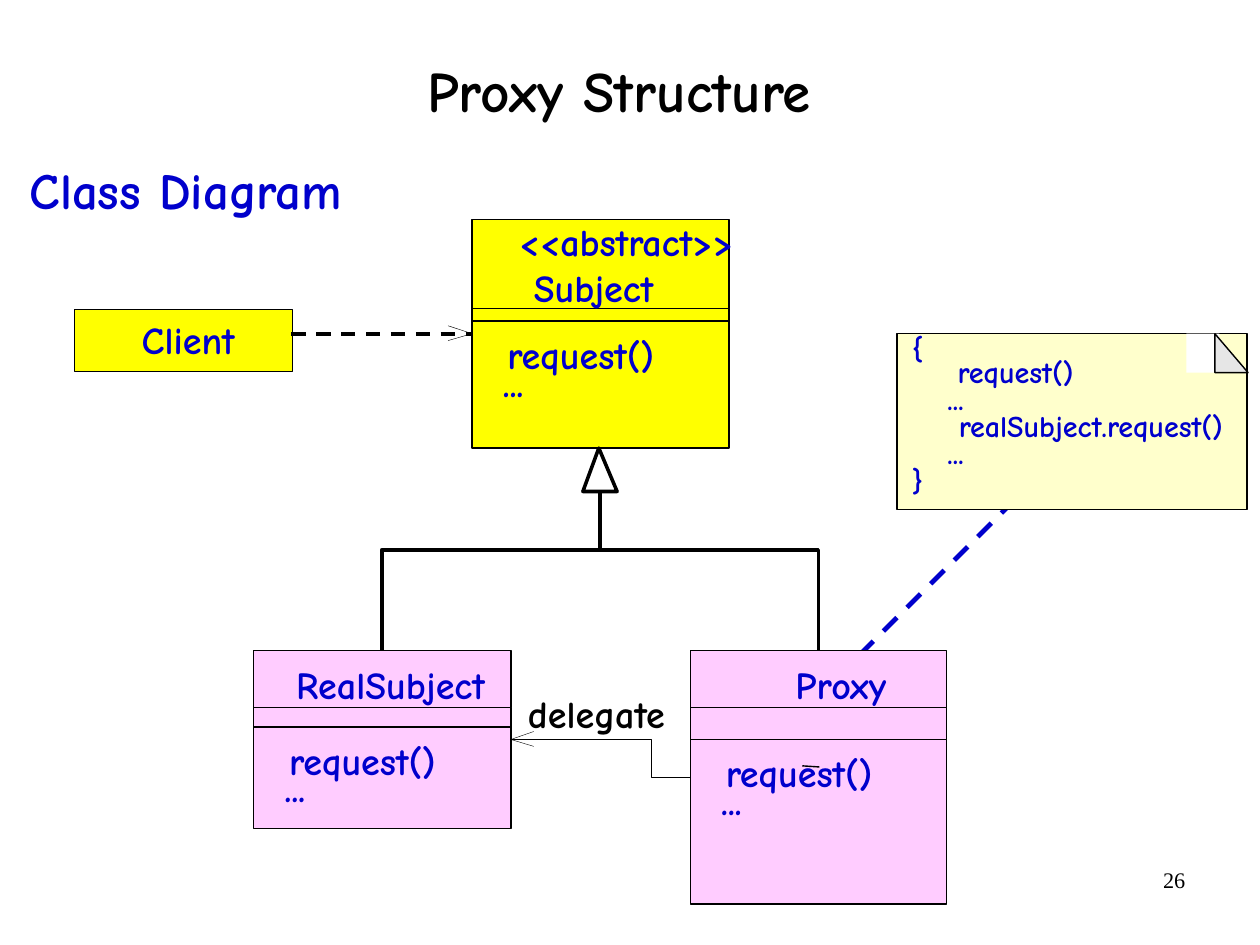
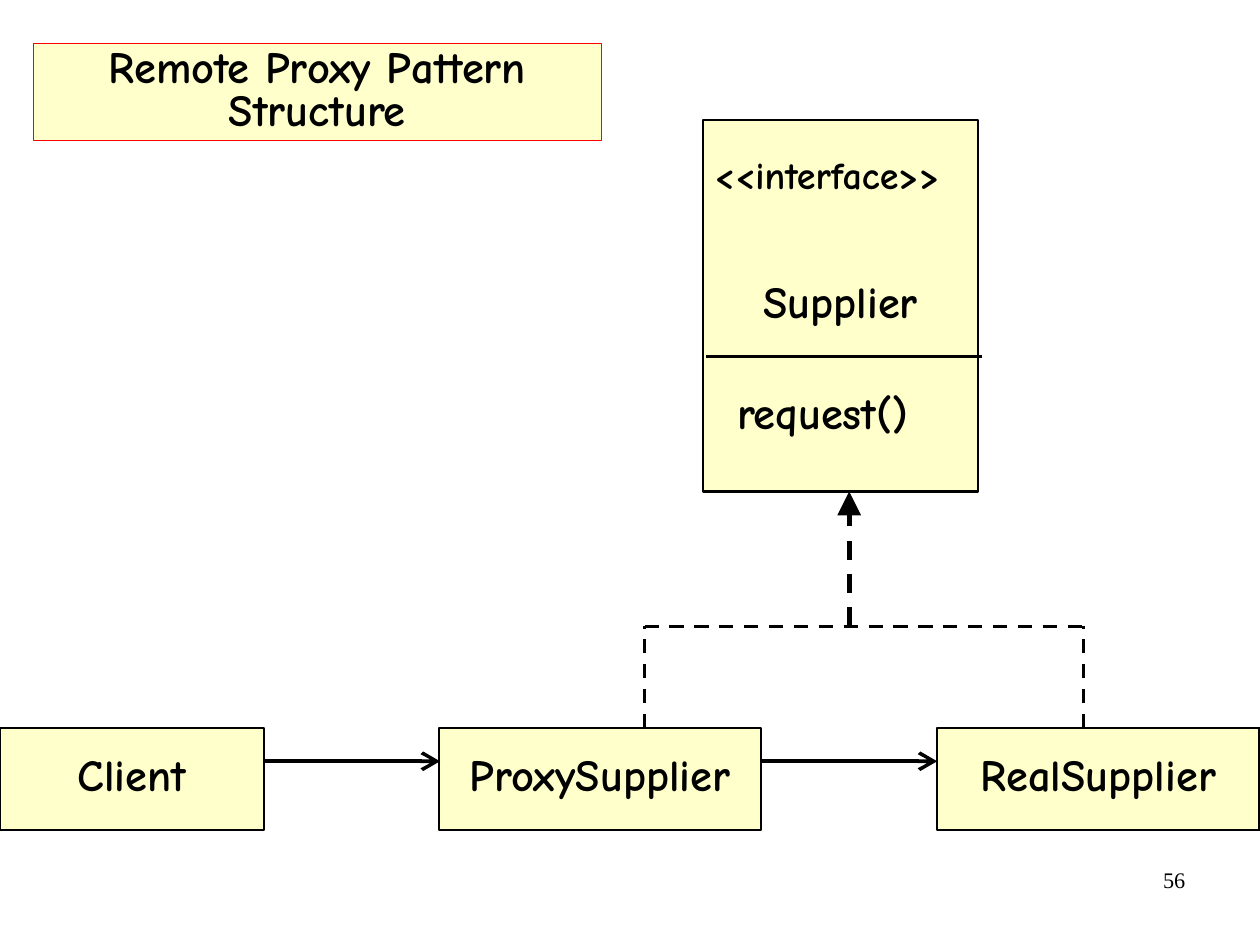
"""Build two slides with the class diagrams of the Proxy pattern."""
from lxml import etree
from pptx import Presentation
from pptx.dml.color import RGBColor
from pptx.enum.dml import MSO_LINE
from pptx.enum.shapes import MSO_CONNECTOR, MSO_SHAPE
from pptx.enum.text import MSO_ANCHOR, MSO_AUTO_SIZE, PP_ALIGN
from pptx.oxml.ns import qn
from pptx.util import Inches, Pt

BLACK = RGBColor(0x00, 0x00, 0x00)
WHITE = RGBColor(0xFF, 0xFF, 0xFF)
BLUE = RGBColor(0x00, 0x00, 0xCC)
YELLOW = RGBColor(0xFF, 0xFF, 0x00)
CREAM = RGBColor(0xFF, 0xFF, 0xCC)
PINK = RGBColor(0xFF, 0xCC, 0xFF)
GREY = RGBColor(0xE6, 0xE6, 0xE6)
RED = RGBColor(0xFF, 0x00, 0x00)
FONT = "Comic Neue"
NUMBER_FONT = "Times New Roman"
RECTANGLE = MSO_SHAPE.RECTANGLE
STRAIGHT = MSO_CONNECTOR.STRAIGHT
DASH = MSO_LINE.DASH
LEFT, CENTER, RIGHT = PP_ALIGN.LEFT, PP_ALIGN.CENTER, PP_ALIGN.RIGHT
TOP, MIDDLE, BOTTOM = MSO_ANCHOR.TOP, MSO_ANCHOR.MIDDLE, MSO_ANCHOR.BOTTOM
NO_FIT = MSO_AUTO_SIZE.NONE
THIN, MEDIUM, THICK = 0.88, 1.42, 2.25


def add_box(page, at, text="", fill=None, line=None, size=24, color=BLUE,
            align=LEFT, anchor=TOP, spacing=1.0, inset=(0, 0), wrap=False,
            font=FONT, bold=True):
    """Add a filled rectangle, or a text box when there is no fill."""
    place = [Inches(value) for value in at]
    if fill is None:
        box = page.shapes.add_textbox(*place)
    else:
        box = page.shapes.add_shape(RECTANGLE, *place)
        box.shadow.inherit = False
        box.fill.solid()
        box.fill.fore_color.rgb = fill
        if line:
            box.line.color.rgb = BLACK
            box.line.width = Pt(line)
        else:
            box.line.fill.background()
    if text:
        frame = box.text_frame
        across, down = [Inches(value) for value in inset]
        settings = {"word_wrap": wrap, "auto_size": NO_FIT, "vertical_anchor": anchor,
                    "margin_left": across, "margin_right": across,
                    "margin_top": down, "margin_bottom": down, "text": text}
        for name, value in settings.items():
            setattr(frame, name, value)
        for para in frame.paragraphs:
            para.alignment = align
            para.line_spacing = spacing
            for name, value in {"name": font, "size": Pt(size), "bold": bold}.items():
                setattr(para.font, name, value)
            para.font.color.rgb = color
    return box


def add_line(page, start, end, width, color=BLACK, dash=None, arrow=None):
    """Add a straight line with an optional dash and arrowhead."""
    ends = [Inches(value) for value in (*start, *end)]
    line = page.shapes.add_connector(STRAIGHT, *ends)
    line.line.color.rgb = color
    line.line.width = Pt(width)
    if dash:
        line.line.dash_style = dash
    properties = line.element.spPr
    if arrow:
        outline = properties.find(qn("a:ln"))
        etree.SubElement(outline, qn("a:tailEnd"), type=arrow, w="lg", len="lg")
    etree.SubElement(properties, qn("a:effectLst"))


deck = Presentation()
deck.slide_width = Pt(793.75)
deck.slide_height = Pt(595.25)

titles = [
    ("Proxy Structure", (0.73, 0.14, 9.37, 1.01), 36, 0.88, BOTTOM, "26"),
    ("Remote Proxy Pattern Structure", (0.29, 0.38, 4.97, 0.85), 28, 0.8, MIDDLE, "56"),
]
pages = []
for text, at, size, spacing, anchor, number in titles:
    page = deck.slides.add_slide(deck.slide_layouts[5])
    title = page.shapes.title
    title.left, title.top, title.width, title.height = [Inches(value) for value in at]
    frame = title.text_frame
    settings = {"text": text, "auto_size": NO_FIT, "word_wrap": True, "vertical_anchor": anchor,
                "margin_left": Inches(0.11), "margin_right": Inches(0.11),
                "margin_top": Inches(0.06), "margin_bottom": Inches(0.06)}
    for name, value in settings.items():
        setattr(frame, name, value)
    para = frame.paragraphs[0]
    para.alignment = CENTER
    para.line_spacing = spacing
    for name, value in {"name": FONT, "size": Pt(size), "bold": True}.items():
        setattr(para.font, name, value)
    para.font.color.rgb = BLACK
    add_box(page, (7.9, 7.53, 2.57, 0.57), number, size=14, color=BLACK, align=RIGHT,
            inset=(0.1, 0.05), wrap=True, font=NUMBER_FONT, bold=False)
    pages.append(page)
structure, remote = pages

add_line(structure, (6.49, 6.76), (9.13, 4.12), 3, BLUE, DASH)
note_lines = [("{", 0), ("request()", 0.4), ("...", 0.31),
              ("realSubject.request()", 0.41), ("...", 0.31), ("}", 0)]
note = add_box(structure, (7.85, 2.92, 3.06, 1.54), "\n".join(text for text, indent in note_lines),
               CREAM, THIN, size=19, spacing=Pt(17), inset=(0.13, 0.04), wrap=True)
note.text_frame.margin_right = 0
for para, (text, indent) in zip(note.text_frame.paragraphs, note_lines):
    para._p.get_or_add_pPr().set("marL", str(Inches(indent)))
note.text_frame.paragraphs[1].line_spacing = Pt(15)
add_box(structure, (10.38, 2.92, 0.29, 0.34), fill=WHITE)

add_box(structure, (0.15, 1.33, 2.97, 0.64), "Class Diagram", size=32, inset=(0.11, 0.06))
add_box(structure, (0.65, 2.71, 1.91, 0.54), fill=YELLOW, line=THIN)

classes = [
    (4.13, 2.25, (1.92, 2.7, 2.81, 3.92), YELLOW),
    (2.22, 2.25, (5.69, 6.19, 6.36, 7.25), PINK),
    (6.04, 2.24, (5.69, 6.19, 6.47, 7.91), PINK),
]
for left, width, edges, fill in classes:
    for top, bottom in zip(edges, edges[1:]):
        add_box(structure, (left, top, width, bottom - top), fill=fill, line=THIN)
    methods_top = edges[2]
    add_box(structure, (left + 0.31, methods_top + 0.09, 1.29, 0.4), "request()")
    add_box(structure, (left + 0.27, methods_top + 0.33, 0.18, 0.4), "...")

names = [
    ("Client", 1.24, 2.77, 0.81),
    ("<<abstract>>", 4.54, 1.91, 1.89),
    ("Subject", 4.67, 2.31, 1.05),
    ("RealSubject", 2.59, 5.79, 1.65),
    ("Proxy", 6.96, 5.79, 0.81),
]
for text, left, top, width in names:
    add_box(structure, (left, top, width, 0.4), text)

add_line(structure, (7.17, 6.71), (7.02, 6.7), THIN)
add_line(structure, (2.55, 2.92), (4.13, 2.92), THICK, dash=DASH)

outlines = [
    ([(10.63, 2.92), (10.92, 3.26), (10.63, 3.26)], GREY, THIN),
    ([(3.92, 2.98), (4.13, 2.92), (3.92, 2.85)], None, 0.25),
    ([(3.34, 5.69), (3.34, 4.81), (5.25, 4.81), (5.25, 4.12)], None, THICK),
    ([(7.16, 5.69), (7.16, 4.81), (5.25, 4.81), (5.25, 4.12)], None, THICK),
    ([(5.4, 4.3), (5.24, 3.92), (5.1, 4.3)], WHITE, THICK),
    ([(6.04, 6.8), (5.7, 6.8), (5.7, 6.47), (4.47, 6.47)], None, 0.25),
    ([(4.67, 6.4), (4.47, 6.47), (4.67, 6.53)], None, 0.25),
]
for points, fill, width in outlines:
    start, *others = [(Inches(x), Inches(y)) for x, y in points]
    builder = structure.shapes.build_freeform(*start)
    builder.add_line_segments(others, close=fill is not None)
    outline = builder.convert_to_shape()
    outline.shadow.inherit = False
    if fill is None:
        outline.fill.background()
    else:
        outline.fill.solid()
        outline.fill.fore_color.rgb = fill
    outline.line.color.rgb = BLACK
    outline.line.width = Pt(width)
add_box(structure, (4.51, 5.99, 1.42, 0.51), "delegate", color=BLACK, inset=(0.11, 0.05))

banner = remote.shapes.title
banner.fill.solid()
banner.fill.fore_color.rgb = CREAM
banner.line.color.rgb = RED
banner.line.width = Pt(0.75)

suppliers = [
    ("Supplier", (6.15, 1.05, 2.41, 3.25)),
    ("Client", (0, 6.37, 2.31, 0.89)),
    ("ProxySupplier", (3.84, 6.37, 2.82, 0.89)),
    ("RealSupplier", (8.2, 6.37, 2.82, 0.89)),
]
for text, at in suppliers:
    add_box(remote, at, text, CREAM, MEDIUM, size=28, color=BLACK, align=CENTER,
            anchor=MIDDLE, spacing=0.8, inset=(0.11, 0.06))
for text, at, size in [("<<interface>>", (6.15, 1.35, 2.56, 0.6), 24),
                       ("request()", (6.35, 3.41, 2.02, 0.6), 28)]:
    add_box(remote, at, text, size=size, color=BLACK, spacing=0.8, inset=(0.1, 0.05), wrap=True)

links = [
    ((6.18, 3.12), (8.59, 3.12), MEDIUM, None, None),
    ((2.31, 6.66), (3.85, 6.66), THICK, None, "arrow"),
    ((6.66, 6.66), (8.2, 6.66), THICK, None, "arrow"),
    ((5.64, 5.48), (9.49, 5.48), THICK, DASH, None),
    ((5.64, 6.37), (5.64, 5.48), THICK, DASH, None),
    ((9.48, 6.37), (9.48, 5.48), THICK, DASH, None),
    ((7.43, 5.48), (7.43, 4.3), 3, DASH, "triangle"),
]
for start, end, width, dash, arrow in links:
    add_line(remote, start, end, width, dash=dash, arrow=arrow)

deck.save("out.pptx")
